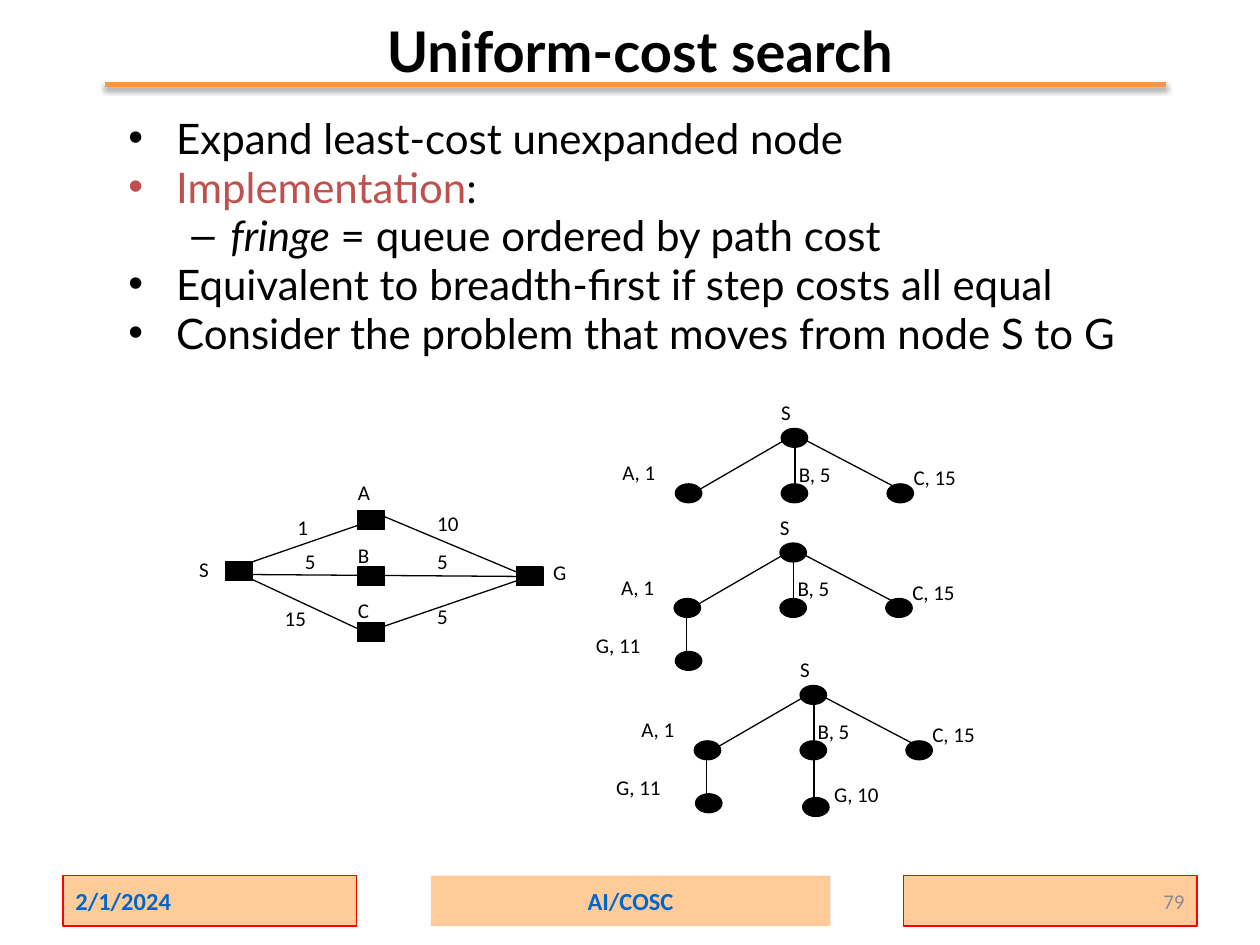
import lxml.etree
import pptx
import pptx.dml.color
import pptx.enum.shapes
import pptx.enum.text
import pptx.oxml
import pptx.oxml.ns
import pptx.util

Inches, Pt = pptx.util.Inches, pptx.util.Pt
SHAPE = pptx.enum.shapes.MSO_SHAPE
ALIGN = pptx.enum.text.PP_ALIGN
MIDDLE = pptx.enum.text.MSO_ANCHOR.MIDDLE
qn = pptx.oxml.ns.qn

COLORS = {"ink": "000000", "accent": "C0504D", "rule": "F79646", "band": "FFCC99",
          "band_edge": "FF0000", "footer": "0066CC", "number": "8C8C8C"}
NODE_W, NODE_H = 0.21, 0.15


def rgb(name):
    return pptx.dml.color.RGBColor.from_string(COLORS[name])


def add_run(paragraph, text, size=12, font="Calibri", color="ink", bold=False, italic=False):
    run = paragraph.add_run()
    run.text = text
    run.font.size = Pt(size)
    run.font.name = font
    run.font.color.rgb = rgb(color)
    run.font.bold = bold
    run.font.italic = italic


def add_block(slide, preset, left, top, width, height, fill="ink", edge="ink"):
    block = slide.shapes.add_shape(preset, Inches(left), Inches(top), Inches(width), Inches(height))
    block.shadow.inherit = False
    block.fill.solid()
    block.fill.fore_color.rgb = rgb(fill)
    if edge:
        block.line.color.rgb = rgb(edge)
        block.line.width = Pt(0.75)
    else:
        block.line.fill.background()
    return block


def add_line(slide, x1, y1, x2, y2, color="ink", width=0.75):
    """Draw a straight line and return it with its empty effect list."""
    line = slide.shapes.add_connector(pptx.enum.shapes.MSO_CONNECTOR.STRAIGHT,
                                      Inches(x1), Inches(y1), Inches(x2), Inches(y2))
    line.line.color.rgb = rgb(color)
    line.line.width = Pt(width)
    effects = lxml.etree.SubElement(line._element.spPr, qn("a:effectLst"))
    return line, effects


def add_label(slide, text, left, top, width):
    frame = slide.shapes.add_textbox(Inches(left), Inches(top), Inches(width), Inches(0.3)).text_frame
    frame.margin_left = frame.margin_right = frame.margin_top = frame.margin_bottom = 0
    frame.word_wrap = True
    add_run(frame.paragraphs[0], text)


def add_title(slide, left, top, width, height):
    _, effects = add_line(slide, left, top + 0.5, left + 8.42, top + 0.5, "rule", 3)
    shadow = lxml.etree.SubElement(effects, qn("a:outerShdw"), blurRad=str(Pt(3.1)),
                                   dist=str(Pt(1.8)), dir="5400000", rotWithShape="0")
    tint = lxml.etree.SubElement(shadow, qn("a:srgbClr"), val=COLORS["ink"])
    lxml.etree.SubElement(tint, qn("a:alpha"), val="35000")

    title = slide.shapes.title
    title.left, title.top, title.width, title.height = map(Inches, (left, top, width, height))
    title.text_frame.vertical_anchor = MIDDLE
    title.text_frame.paragraphs[0].alignment = ALIGN.CENTER
    add_run(title.text_frame.paragraphs[0], "Uniform-cost search", size=32, font="Lato", bold=True)


def add_bullets(slide, left, top, width, height):
    points = [
        (0, [("Expand least-cost unexpanded node", {})]),
        (0, [("Implementation", {"color": "accent"}), (":", {})]),
        (1, [("fringe", {"italic": True}), (" = queue ordered by path cost", {})]),
        (0, [("Equivalent to breadth-first if step costs all equal", {})]),
        (0, [("Consider the problem that moves from node S to G", {})]),
    ]
    marks = [("•", 0.38, 0.38), ("–", 0.81, 0.31)]
    frame = slide.shapes.add_textbox(Inches(left), Inches(top), Inches(width), Inches(height)).text_frame
    frame.word_wrap = True
    for index, (level, runs) in enumerate(points):
        paragraph = frame.add_paragraph() if index else frame.paragraphs[0]
        mark, margin, hang = marks[level]
        paragraph.level = level
        properties = paragraph._p.get_or_add_pPr()
        properties.set("marL", str(Inches(margin)))
        properties.set("indent", str(-Inches(hang)))
        lxml.etree.SubElement(properties, qn("a:buFont"), typeface="Arial")
        lxml.etree.SubElement(properties, qn("a:buChar"), char=mark)
        paragraph.line_spacing = 0.8
        paragraph.space_before = Pt(4.8 if index else 0)
        for text, style in runs:
            add_run(paragraph, text, size=24, font="Lato", **style)


def add_graph(slide, left, top):
    """Draw the route map from S to G with its step costs."""
    places = {"S": (0.21, 0.65), "A": (1.26, 0.24), "B": (1.26, 0.69),
              "C": (1.26, 1.13), "G": (2.52, 0.69)}
    nodes = {name: add_block(slide, SHAPE.RECTANGLE, left + x, top + y, NODE_W, NODE_H)
             for name, (x, y) in places.items()}

    edges = [(0.42, 0.65, 1.26, 0.36), (1.47, 0.29, 2.52, 0.73), (1.47, 1.16, 2.52, 0.8),
             (0.21, 0.69, 1.26, 1.18), (0.42, 0.75, 2.52, 0.75)]
    for x1, y1, x2, y2 in edges:
        edge, _ = add_line(slide, left + x1, top + y1, left + x2, top + y2)
    edge.end_connect(nodes["G"], 1)

    labels = [("S", 0, 0.61), ("A", 1.26, 0), ("B", 1.26, 0.5), ("C", 1.26, 0.93),
              ("G", 2.81, 0.63), ("1", 0.78, 0.27), ("5", 0.84, 0.54), ("15", 0.68, 1),
              ("10", 1.89, 0.24), ("5", 1.89, 0.54), ("5", 1.89, 0.98)]
    for text, x, y in labels:
        add_label(slide, text, left + x, top + y, 0.21 * len(text))


def add_tree(slide, left, top, goals=()):
    """Draw a search tree whose root S sits at left, top.

    Each goal is (text, node x, node y, label x, label y), measured from the root.
    """
    step_x, step_y = 0.84, 0.44
    add_label(slide, "S", left, top - 0.23, NODE_W)
    nodes = [(0, 0), (-step_x, step_y), (0, step_y), (step_x, step_y)]
    nodes += [(x, y) for _, x, y, _, _ in goals]
    for x, y in nodes:
        add_block(slide, SHAPE.OVAL, left + x, top + y, NODE_W, NODE_H)

    branches = [(-0.76, 0.55, 0.12, 0.04), (0.11, 0.51, 0.11, 0.06), (0.95, 0.49, 0.11, 0.05)]
    branches += [(x + 0.09, y + 0.12, x + 0.09, y - 0.33) for _, x, y, _, _ in goals]
    for x1, y1, x2, y2 in branches:
        add_line(slide, left + x1, top + y1, left + x2, top + y2)

    labels = [("A, 1", -1.26, 0.25, 0.63), ("B, 5", 0.14, 0.26, 0.5), ("C, 15", 1.05, 0.29, 0.85)]
    labels += [(text, x, y, 0.63) for text, _, _, x, y in goals]
    for text, x, y, width in labels:
        add_label(slide, text, left + x, top + y, width)


def add_footer(slide, left, top, height):
    heading = {"size": 14, "color": "footer", "bold": True}
    cells = [("2/1/2024", 0, 2.33, "band_edge", ALIGN.LEFT, heading),
             ("AI/COSC", 2.92, 3.17, None, ALIGN.CENTER, heading),
             ("79", 6.67, 2.33, "band_edge", ALIGN.RIGHT, {"color": "number"})]
    for text, x, width, edge, alignment, style in cells:
        cell = add_block(slide, SHAPE.RECTANGLE, left + x, top, width, height, "band", edge)
        cell.text_frame.vertical_anchor = MIDDLE
        cell.text_frame.paragraphs[0].alignment = alignment
        add_run(cell.text_frame.paragraphs[0], text, **style)


def main():
    deck = pptx.Presentation()
    deck.slide_width, deck.slide_height = Inches(10), Inches(7.5)
    slide = deck.slides.add_slide(deck.slide_layouts[5])
    add_title(slide, 0.83, 0.17, 8.5, 0.45)
    add_bullets(slide, 0.92, 0.92, 8.33, 2.42)
    add_graph(slide, 1.58, 3.81)
    goal_by_a = ("G, 11", -0.83, 0.86, -1.46, 0.71)
    goal_by_b = ("G, 10", 0.02, 0.89, 0.27, 0.76)
    add_tree(slide, 6.2, 3.4)
    add_tree(slide, 6.19, 4.31, [goal_by_a])
    add_tree(slide, 6.35, 5.44, [goal_by_a, goal_by_b])
    add_footer(slide, 0.5, 6.95, 0.4)
    deck.save("out.pptx")


if __name__ == "__main__":
    main()
